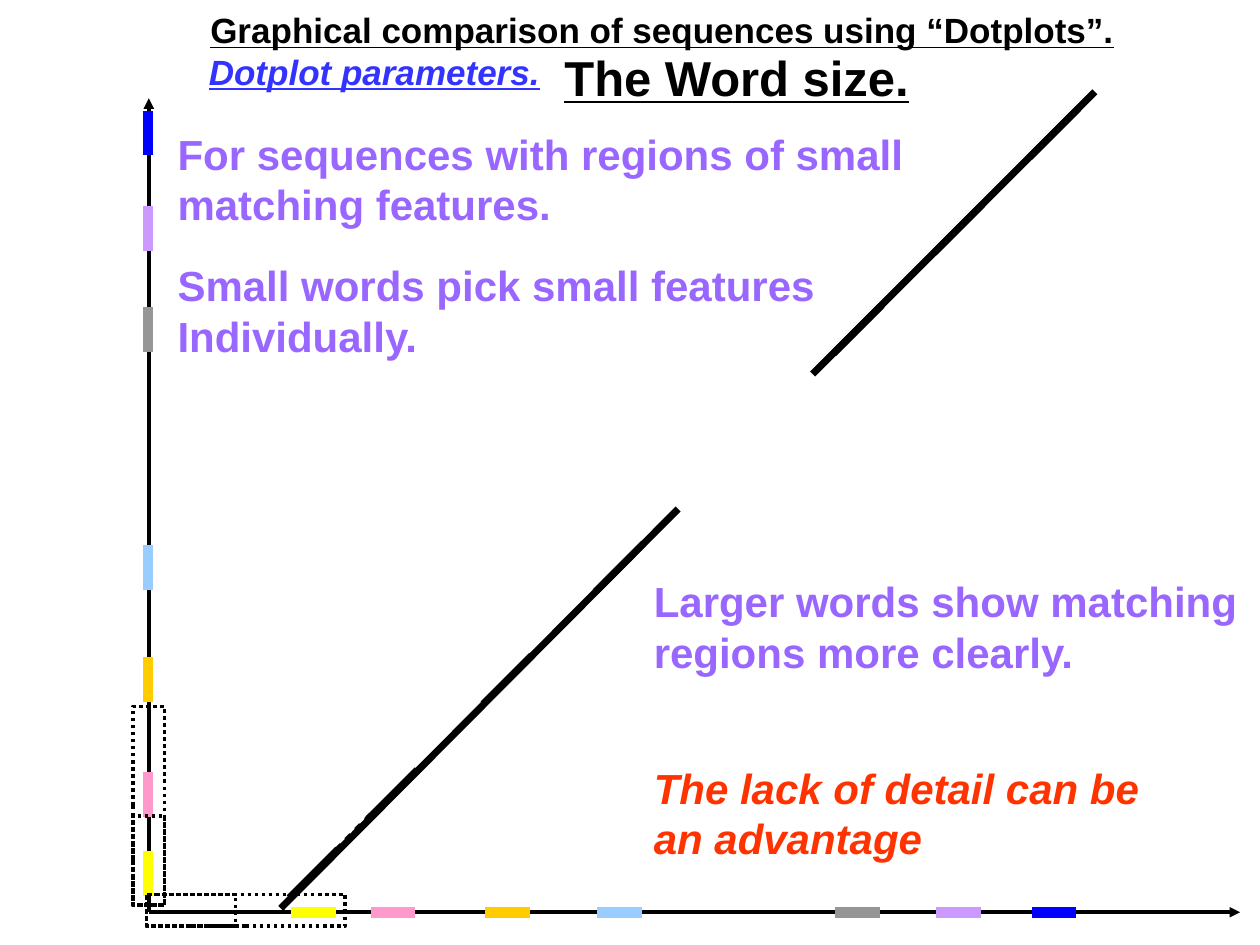
from dataclasses import dataclass

from lxml.etree import SubElement
from pptx import Presentation
from pptx.dml.color import RGBColor as RGB
from pptx.enum.dml import MSO_LINE as DASH
from pptx.enum.shapes import MSO_CONNECTOR as CONNECTOR, MSO_SHAPE as SHAPE
from pptx.enum.text import MSO_AUTO_SIZE as AUTO_SIZE
from pptx.oxml.ns import qn
from pptx.util import Cm, Pt


@dataclass(frozen=True)
class Theme:
    font: str = "Arial"
    ink: str = "000000"
    subtitle: str = "3333FF"
    remark: str = "9966FF"
    conclusion: str = "FF3300"
    small: int = 20
    body: int = 24
    large: int = 28
    axis: int = 2
    match: int = 4
    feature: int = 6


THEME = Theme()

# Axes, in cm
ORIGIN_X, ORIGIN_Y = 3.0, 18.39
AXIS_TOP, AXIS_RIGHT = 1.98, 25.0

# Features: colour and start along the horizontal axis.
# A feature's place on the vertical axis mirrors this along the diagonal.
FEATURES = [
    ("FFCC00", 9.78), ("969696", 16.84), ("CC99FF", 18.87), ("99CCFF", 12.04),
    ("FF99CC", 7.47), ("0000FF", 20.8), ("FFFF00", 5.87),
]
FEATURE_LENGTH = 0.9
DIAGONAL_SUM = 23.93
OVERHANG = 0.04

# Long matching regions, found by large words
REGIONS = [((5.66, 18.31), (13.67, 10.26)), ((16.38, 7.54), (22.07, 1.85))]
FEATURE_LINK = ((6.6, 17.35), (7.52, 16.41))

# Word windows at the origin
WORD_LENGTHS = (4.01, 1.8)
WORD_THICKNESS = 0.64
WORD_LEFT, WORD_TOP, WORD_BOTTOM = 2.95, 18.03, 18.25


def add_line(shapes, start, end, color, width, arrow=False, dash=None):
    line = shapes.add_connector(CONNECTOR.STRAIGHT,
                                *(Cm(value) for value in (*start, *end)))
    line.line.color.rgb = RGB.from_string(color)
    line.line.width = Pt(width)
    if dash:
        line.line.dash_style = dash
    if arrow:
        SubElement(line.line._get_or_add_ln(), qn("a:tailEnd"), type="triangle")
    SubElement(line._element.spPr, qn("a:effectLst"))


def add_word_window(shapes, left, top, length, rotation=0):
    window = shapes.add_shape(SHAPE.RECTANGLE, Cm(left), Cm(top),
                              Cm(length), Cm(WORD_THICKNESS))
    window.rotation = rotation
    window.shadow.inherit = False
    window.fill.background()
    window.line.color.rgb = RGB.from_string(THEME.ink)
    window.line.width = Pt(THEME.axis)
    window.line.dash_style = DASH.ROUND_DOT


def add_text(shapes, box, lines, color, size, wrap=False, italic=None, underline=None):
    frame = shapes.add_textbox(*(Cm(value) for value in box)).text_frame
    frame.word_wrap = wrap
    frame.auto_size = AUTO_SIZE.SHAPE_TO_FIT_TEXT
    frame.text = "\n".join(lines)
    for paragraph in frame.paragraphs:
        font = paragraph.font
        font.name, font.size, font.bold = THEME.font, Pt(size), True
        font.italic, font.underline = italic, underline
        font.color.rgb = RGB.from_string(color)


def add_axes(shapes):
    for end in ((ORIGIN_X, AXIS_TOP), (AXIS_RIGHT, ORIGIN_Y)):
        add_line(shapes, (ORIGIN_X, ORIGIN_Y), end, THEME.ink, THEME.axis, arrow=True)


def add_features(shapes):
    vertical, horizontal = (shapes.add_group_shape().shapes for _ in range(2))
    for color, x in FEATURES:
        y = DIAGONAL_SUM - x
        add_line(vertical, (ORIGIN_X - 0.02, y), (ORIGIN_X - 0.02, y - FEATURE_LENGTH),
                 color, THEME.feature)
        add_line(horizontal, (x, ORIGIN_Y), (x + FEATURE_LENGTH, ORIGIN_Y),
                 color, THEME.feature)


def add_word_windows(shapes):
    for length in WORD_LENGTHS:
        add_word_window(shapes, WORD_LEFT, WORD_TOP, length)
        # Turned about its centre, so that it stands on the vertical axis
        add_word_window(shapes, ORIGIN_X - length / 2,
                        WORD_BOTTOM - (length + WORD_THICKNESS) / 2, length, rotation=90)


def add_regions(shapes):
    group = shapes.add_group_shape().shapes
    for start, end in REGIONS:
        add_line(group, start, end, THEME.ink, THEME.match)


def add_feature_matches(shapes):
    group = shapes.add_group_shape().shapes
    for _, x in FEATURES:
        y = DIAGONAL_SUM - x
        reach = FEATURE_LENGTH + OVERHANG
        add_line(group, (x - OVERHANG, y + OVERHANG), (x + reach, y - reach),
                 THEME.ink, THEME.match)
    add_line(group, *FEATURE_LINK, THEME.ink, THEME.match, dash=DASH.ROUND_DOT)


def add_headings(shapes):
    # Wide enough to hold the heading on one line
    add_text(shapes, (3.99, 0.05, 19.5, 1.12),
             ["Graphical comparison of sequences using “Dotplots”."],
             THEME.ink, THEME.small, wrap=True, underline=True)
    add_text(shapes, (11.13, 0.84, 7.47, 1.45), ["The Word size."],
             THEME.ink, THEME.large, underline=True)
    add_text(shapes, (3.96, 0.89, 7.19, 1.12), ["Dotplot parameters."],
             THEME.subtitle, THEME.small, italic=True, underline=True)


def add_remarks(shapes):
    add_text(shapes, (3.33, 2.46, 15.14, 2.29),
             ["For sequences with regions of small", "matching features."],
             THEME.remark, THEME.body)
    add_text(shapes, (3.33, 5.11, 13.36, 2.29),
             ["Small words pick small features", "Individually."],
             THEME.remark, THEME.body)
    add_text(shapes, (12.93, 11.48, 12.55, 2.29),
             ["Larger words show matching regions more clearly."],
             THEME.remark, THEME.body, wrap=True)
    add_text(shapes, (12.93, 15.24, 10.87, 2.29),
             ["The lack of detail can be an advantage"],
             THEME.conclusion, THEME.body, wrap=True, italic=True)


def main():
    deck = Presentation()
    deck.slide_width, deck.slide_height = Cm(25.4), Cm(19.05)
    shapes = deck.slides.add_slide(deck.slide_layouts[6]).shapes

    # Dotplot
    add_regions(shapes)
    add_axes(shapes)
    add_features(shapes)
    add_word_windows(shapes)
    add_feature_matches(shapes)

    # Text
    add_headings(shapes)
    add_remarks(shapes)

    deck.save("out.pptx")


if __name__ == "__main__":
    main()
